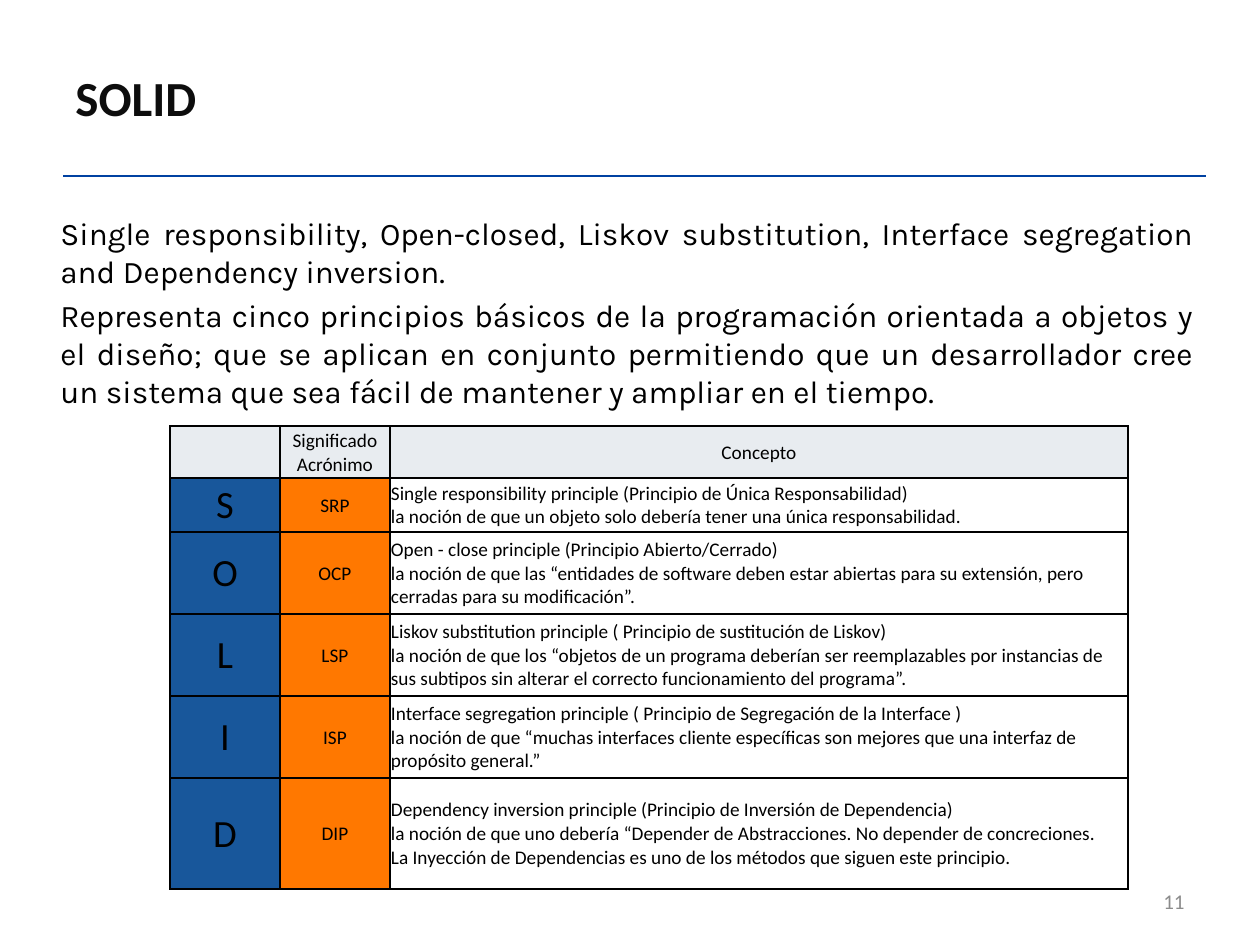
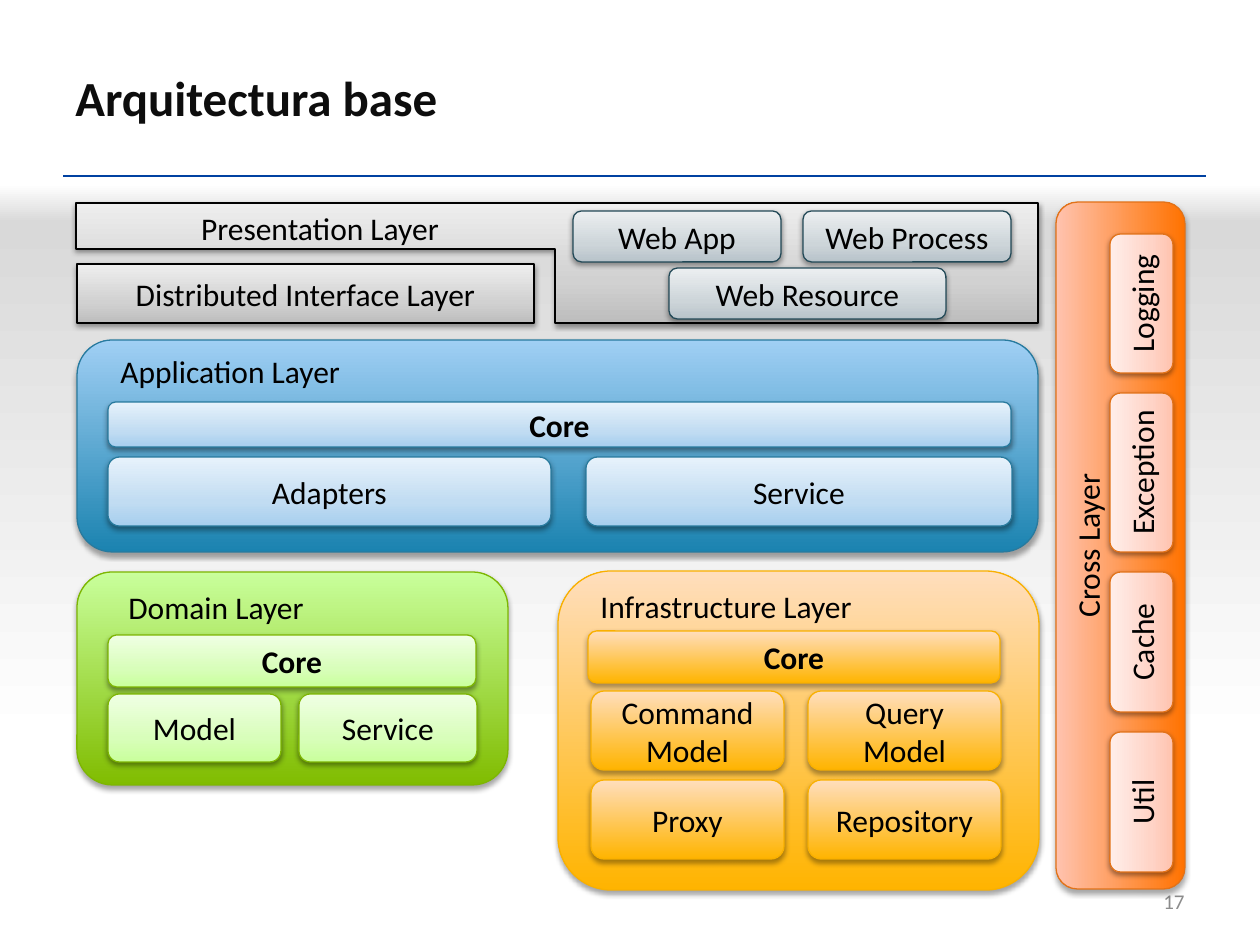
from dataclasses import dataclass

from lxml.etree import SubElement
from pptx import Presentation
from pptx.dml.color import RGBColor
from pptx.enum.shapes import MSO_CONNECTOR, MSO_SHAPE
from pptx.enum.text import MSO_ANCHOR, PP_ALIGN
from pptx.oxml.ns import qn
from pptx.util import Emu, Pt

SCALE = 914400 / 126  # EMU in one px
WIDE, HIGH = 1260, 945


@dataclass(frozen=True)
class Look:
    """Gradient colours from bottom to top, and the outline."""
    fill: tuple
    line: str


@dataclass(frozen=True)
class Theme:
    font: str = "Calibri"
    prose: str = "Karla"
    ink: str = "000000"
    title: str = "0D0D0D"
    page: str = "8C8C8C"
    rule: str = "0041A1"
    head: str = "E8ECF0"
    blue: str = "18579B"
    orange: str = "FF7800"
    big: int = 28
    mark: int = 22
    text: int = 18
    small: int = 12
    tiny: int = 11
    band: tuple = ("D9D9D9", "FFFFFF")
    gray: Look = Look(("BDBDBD", "D1D1D1", "EEEEEE"), "000000")
    steel: Look = Look(("B8C3CA", "CDD5D9", "ECEFF1"), "224957")
    sea: Look = Look(("1B83B0", "A0CFF4"), "287A9E")
    sky: Look = Look(("A6CEEE", "C1DCF2", "E7F2FB"), "287A9E")
    leaf: Look = Look(("80BC00", "C9FF9C"), "7DB602")
    lime: Look = Look(("C9FF9C", "D8FEBA", "F0FFE4"), "7DB602")
    gold: Look = Look(("FFB400", "FFDEBD"), "F9B000")
    fire: Look = Look(("FF7200", "FFC3AF"), "E27218")
    rose: Look = Look(("FFC3AF", "FFD4C7", "FFEEEA"), "E27218")


THEME = Theme()


# Helpers
def px(*sizes):
    return [Emu(round(size * SCALE)) for size in sizes]


def inside(box, part):
    return (box[0] + part[0], box[1] + part[1], *part[2:])


def color(code):
    return RGBColor.from_string(code)


def write(frame, texts, size=THEME.text, tint=THEME.ink, font=THEME.font,
          bold=False, align=PP_ALIGN.LEFT, anchor=MSO_ANCHOR.TOP, before=0):
    frame.word_wrap = True
    frame.vertical_anchor = anchor
    for i, text in enumerate(texts):
        para = frame.add_paragraph() if i else frame.paragraphs[0]
        para.text = text
        para.alignment = align
        para.space_before = Pt(before)
        para.font.name = font
        para.font.size = Pt(size)
        para.font.bold = bold
        para.font.color.rgb = color(tint)


def label(slide, box, *texts, **style):
    write(slide.shapes.add_textbox(*px(*box)).text_frame, texts, **style)


def shade(shape, tints, angle=90):
    shape.fill.gradient()
    shape.fill.gradient_angle = angle
    stops = shape._element.spPr.find(qn("a:gradFill")).find(qn("a:gsLst"))
    for stop in list(stops):
        stops.remove(stop)
    spots = (0, 100) if len(tints) == 2 else (0, 35, 100)
    for spot, tint in zip(spots, tints):
        stop = SubElement(stops, qn("a:gs"), pos=str(spot * 1000))
        SubElement(stop, qn("a:srgbClr"), val=tint)


def dress(shape, look):
    shade(shape, look.fill)
    shape.line.color.rgb = color(look.line)
    shape.line.width = Pt(0.75)
    shape.shadow.inherit = False
    drop, alpha = (1.8, 35) if len(look.fill) == 2 else (1.6, 38)
    glow = SubElement(shape._element.spPr.find(qn("a:effectLst")),
                      qn("a:outerShdw"), blurRad=str(Pt(3.1)),
                      dist=str(Pt(drop)), dir="5400000", rotWithShape="0")
    tint = SubElement(glow, qn("a:srgbClr"), val=THEME.ink)
    SubElement(tint, qn("a:alpha"), val=str(alpha * 1000))


def block(slide, box, look, text="", kind=MSO_SHAPE.ROUNDED_RECTANGLE,
          anchor=MSO_ANCHOR.MIDDLE, turn=False):
    x, y, w, h = box
    if turn:  # swap the sides about the centre, then rotate back
        x, y, w, h = x + (w - h) / 2, y + (h - w) / 2, h, w
    shape = slide.shapes.add_shape(kind, *px(x, y, w, h))
    shape.rotation = 270 if turn else 0
    dress(shape, look)
    if text:
        write(shape.text_frame, [text], bold=text == "Core",
              align=PP_ALIGN.CENTER, anchor=anchor)


# Parts that both slides share
def base(deck, title, page):
    slide = deck.slides.add_slide(deck.slide_layouts[6])
    rule = slide.shapes.add_connector(MSO_CONNECTOR.STRAIGHT,
                                      *px(63, 176, 1206, 176))
    rule.line.color.rgb = color(THEME.rule)
    rule.line.width = Pt(1)
    SubElement(rule._element.spPr, qn("a:effectLst"))
    label(slide, (63, 44, 927, 105), title, size=THEME.big, tint=THEME.title,
          bold=True, anchor=MSO_ANCHOR.MIDDLE)
    label(slide, (903, 876, 294, 50), str(page), size=THEME.small,
          tint=THEME.page, align=PP_ALIGN.RIGHT, anchor=MSO_ANCHOR.MIDDLE)
    return slide


# Table of principles
def frame_cell(cell):
    props = cell._tc.get_or_add_tcPr()
    for side in ("a:lnL", "a:lnR", "a:lnT", "a:lnB"):
        line = SubElement(props, qn(side), w=str(Pt(1)))
        SubElement(SubElement(line, qn("a:solidFill")),
                   qn("a:srgbClr"), val=THEME.ink)


def chart_rows(slide, box, cols, highs, rows):
    table = slide.shapes.add_table(len(rows), len(cols), *px(*box)).table
    table.first_row = table.horz_banding = False
    for col, wide in zip(table.columns, px(*cols)):
        col.width = wide
    for row, high in zip(table.rows, px(*highs)):
        row.height = high
    for r, row in enumerate(rows):
        for c, text in enumerate(row):
            cell = table.cell(r, c)
            frame_cell(cell)
            fill = (THEME.blue, THEME.orange, None)[c] if r else THEME.head
            if fill:
                cell.fill.solid()
                cell.fill.fore_color.rgb = color(fill)
            else:
                cell.fill.background()
            cell.margin_left, cell.margin_right, cell.margin_top = px(1, 1, 1)
            cell.margin_bottom = 0
            cell.vertical_anchor = MSO_ANCHOR.MIDDLE
            write(cell.text_frame, [text],
                  size=THEME.mark if r and c == 0 else THEME.tiny,
                  align=PP_ALIGN.LEFT if r and c == 2 else PP_ALIGN.CENTER,
                  anchor=None)


def solid(deck):
    slide = base(deck, "SOLID", 11)
    label(slide, (48, 208, 1158, 215),
          "Single responsibility, Open-closed, Liskov substitution, Interface "
          "segregation and Dependency inversion.",
          "Representa cinco principios básicos de la programación orientada a "
          "objetos y el diseño; que se aplican en conjunto permitiendo que un "
          "desarrollador cree un sistema que sea fácil de mantener y ampliar "
          "en el tiempo.",
          font=THEME.prose, align=PP_ALIGN.JUSTIFY, before=3.6)
    rows = [
        ("", "Significado Acrónimo", "Concepto"),
        ("S", "SRP",
         "Single responsibility principle (Principio de Única Responsabilidad)\n"
         "la noción de que un objeto solo debería tener una única "
         "responsabilidad."),
        ("O", "OCP",
         "Open - close principle (Principio Abierto/Cerrado)\n"
         "la noción de que las “entidades de software deben estar abiertas "
         "para su extensión, pero cerradas para su modificación”."),
        ("L", "LSP",
         "Liskov substitution principle ( Principio de sustitución de Liskov)\n"
         "la noción de que los “objetos de un programa deberían ser "
         "reemplazables por instancias de sus subtipos sin alterar el "
         "correcto funcionamiento del programa”."),
        ("I", "ISP",
         "Interface segregation principle ( Principio de Segregación de la "
         "Interface )\nla noción de que “muchas interfaces cliente "
         "específicas son mejores que una interfaz de propósito general.”"),
        ("D", "DIP",
         "Dependency inversion principle (Principio de Inversión de "
         "Dependencia)\nla noción de que uno debería “Depender de "
         "Abstracciones. No depender de concreciones.\nLa Inyección de "
         "Dependencias es uno de los métodos que siguen este principio."),
    ]
    chart_rows(slide, (170, 426, 958, 463), (110, 110, 738),
               (52, 54, 82, 82, 82, 111), rows)


# Regions of the layer diagram
def bands(slide, top):
    for y, high, angle in ((top, 38, 90), (top + 38, 519, 270)):
        band = slide.shapes.add_shape(MSO_SHAPE.RECTANGLE,
                                      *px(0, y, WIDE, high))
        shade(band, THEME.band, angle)
        band.line.fill.background()
        band.shadow.inherit = False


def layer(slide, box, look, inner, title, spot, parts):
    block(slide, box, look)
    label(slide, inside(box, spot), title)
    for text, *part in parts:
        block(slide, inside(box, part), inner, text)


def front(slide, box):
    x, y, w, h = box
    block(slide, inside(box, (1, 61, 457, 59)), THEME.gray,
          "Distributed Interface Layer", MSO_SHAPE.RECTANGLE)
    neck, step = 479, 46
    path = slide.shapes.build_freeform(x, y, SCALE)
    path.add_line_segments([(x + w, y), (x + w, y + h), (x + neck, y + h),
                            (x + neck, y + step), (x, y + step)])
    dress(path.convert_to_shape(), THEME.gray)
    label(slide, inside(box, (4, 0, 480, 50)), "Presentation Layer",
          align=PP_ALIGN.CENTER)
    for text, *part in (("Web App", 497, 8, 208, 51),
                        ("Web Process", 727, 8, 208, 51),
                        ("Web Resource", 593, 65, 277, 51)):
        block(slide, inside(box, part), THEME.steel, text)


def cross(slide, box):
    block(slide, box, THEME.fire, "Cross Layer", anchor=MSO_ANCHOR.TOP,
          turn=True)
    y, gap = 32, 20
    for text, high in (("Logging", 139), ("Exception", 159),
                       ("Cache", 140), ("Util", 140)):
        block(slide, inside(box, (54, y, 63, high)), THEME.rose, text,
              turn=True)
        y += high + gap


def layers(deck):
    slide = base(deck, "Arquitectura base", 17)
    bands(slide, 184)
    # Move the bands behind the title and page number
    tree = slide.shapes._spTree
    for band in list(slide.shapes)[:-3:-1]:
        tree.insert(2, band._element)
    layer(slide, (77, 340, 961, 212), THEME.sea, THEME.sky,
          "Application Layer", (31, 6, 903, 50),
          [("Core", 31, 62, 903, 45), ("Adapters", 31, 117, 443, 69),
           ("Service", 509, 117, 426, 69)])
    layer(slide, (77, 572, 431, 213), THEME.leaf, THEME.lime,
          "Domain Layer", (39, 10, 368, 50),
          [("Core", 31, 63, 368, 52), ("Model", 31, 122, 173, 68),
           ("Service", 222, 122, 178, 68)])
    grid = [["Command Model", "Query Model"], ["Proxy", "Repository"]]
    layer(slide, (558, 571, 481, 319), THEME.gold, THEME.gold,
          "Infrastructure Layer", (30, 10, 412, 50),
          [("Core", 30, 60, 412, 52)]
          + [(text, 33 + 217 * c, 120 + 89 * r, 193, 79)
             for r, row in enumerate(grid) for c, text in enumerate(row)])
    front(slide, (76, 203, 962, 120))
    cross(slide, (1056, 202, 129, 687))


def main():
    deck = Presentation()
    deck.slide_width, deck.slide_height = px(WIDE, HIGH)
    solid(deck)
    layers(deck)
    deck.save("out.pptx")


if __name__ == "__main__":
    main()
